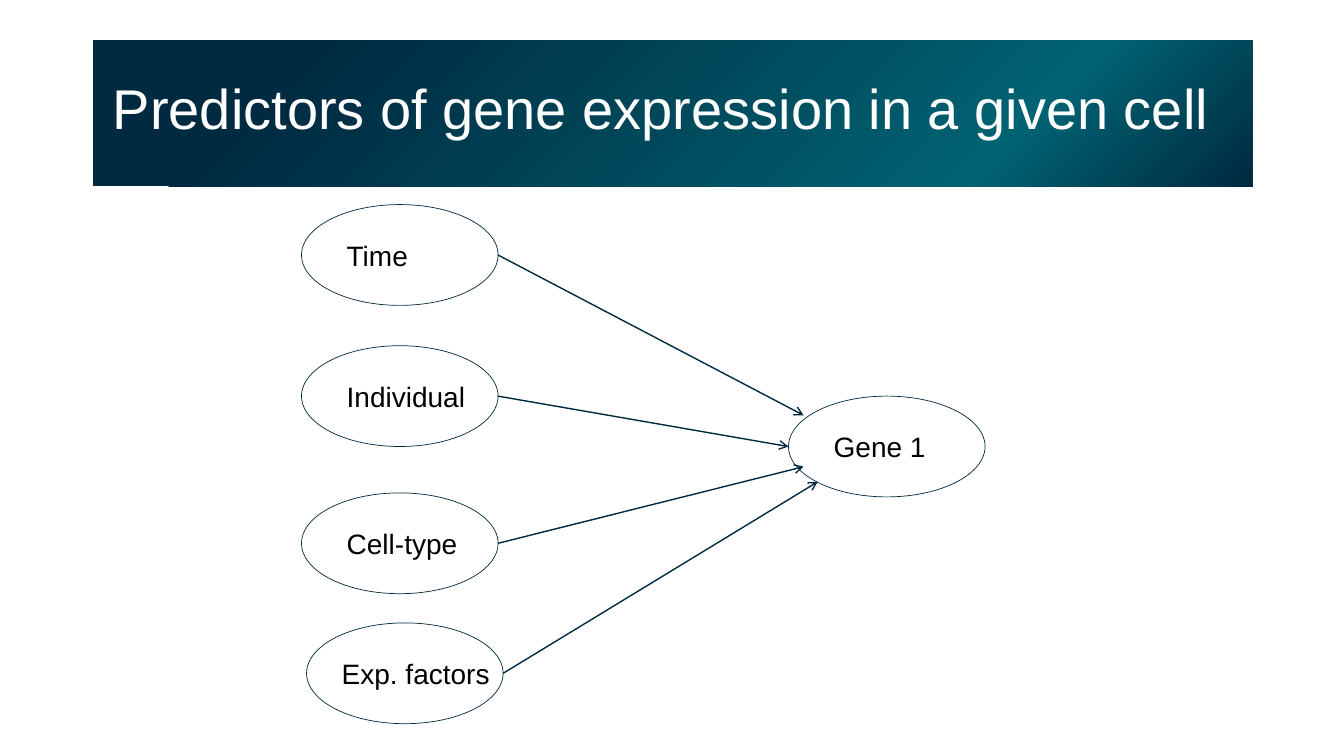
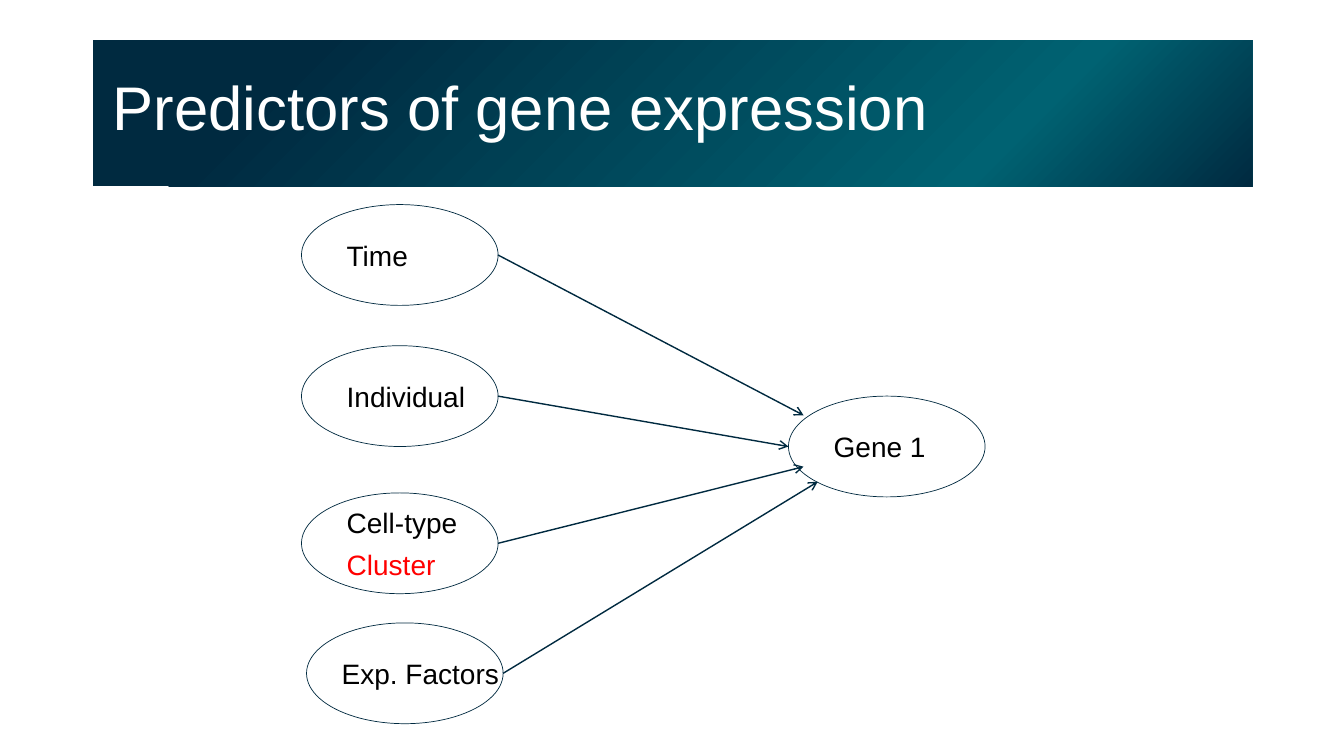
from dataclasses import dataclass

from lxml import etree
from pptx import Presentation
from pptx.dml.color import RGBColor
from pptx.enum.shapes import MSO_CONNECTOR as CONN, MSO_SHAPE as SHAPE
from pptx.enum.text import MSO_ANCHOR as ANCHOR, MSO_AUTO_SIZE as AUTOSIZE, PP_ALIGN as ALIGN
from pptx.oxml import parse_xml
from pptx.oxml.ns import nsdecls, qn
from pptx.util import Inches, Pt


@dataclass(frozen=True)
class Theme:
    font: str = "Arial"
    navy: str = "002A40"
    teal: str = "006272"
    white: str = "FFFFFF"
    black: str = "000000"
    red: str = "FF0000"
    label_size: int = 20
    outline: float = 0.5
    arrow: float = 1


@dataclass(frozen=True)
class Line:
    text: str
    color: str


@dataclass(frozen=True)
class Node:
    left: float
    top: float
    lines: tuple[Line, ...]
    indent: float = 0.35


@dataclass(frozen=True)
class Page:
    title: str
    title_size: int
    cell_type: tuple[Line, ...]
    factors: str


THEME = Theme()
NODE_W, NODE_H = 1.95, 1.0
LABEL_W = 1.8
GRADIENT = ((0, THEME.navy), (22, THEME.teal), (83, THEME.navy), (100, THEME.navy))
TARGETS = ((7.97, 4.12), (7.82, 4.43), (7.97, 4.63), (8.11, 4.78))

CELL_TYPE = Line("Cell-type", THEME.black)
PAGES = (
    Page("Predictors of gene expression in a given cell", 40, (CELL_TYPE,), "Exp. factors"),
    Page("Predictors of gene expression", 44,
         (CELL_TYPE, Line("Cluster", THEME.red)), "Exp. Factors"),
)


def write(p, text: str, *, size: float, color: str, after: float = 0,
          spacing: float = 1.0) -> None:
    p.alignment = ALIGN.LEFT
    p.space_before, p.space_after = Pt(0), Pt(after)
    p.line_spacing = spacing
    r = p.add_run()
    r.text = text
    r.font.name = THEME.font
    r.font.size = Pt(size)
    r.font.color.rgb = RGBColor.from_string(color)


def add_title(slide, page: Page) -> None:
    sp = slide.shapes.title
    sp.left, sp.top = Inches(0.92), Inches(0.4)
    sp.width, sp.height = Inches(11.5), Inches(1.45)
    stops = "".join(f'<a:gs pos="{pos * 1000}"><a:srgbClr val="{color}"/></a:gs>'
                    for pos, color in GRADIENT)
    sp._element.spPr.append(parse_xml(
        f'<a:gradFill {nsdecls("a")} rotWithShape="1"><a:gsLst>{stops}</a:gsLst>'
        '<a:path path="circle"><a:fillToRect l="100000" t="100000"/></a:path>'
        '<a:tileRect r="-100000" b="-100000"/></a:gradFill>'))
    tf = sp.text_frame
    tf.auto_size = AUTOSIZE.NONE
    tf.word_wrap = True
    tf.vertical_anchor = ANCHOR.MIDDLE
    tf.margin_left, tf.margin_right = Inches(0.2), Inches(0.1)
    tf.margin_top, tf.margin_bottom = Inches(0), Inches(0.05)
    write(tf.paragraphs[0], page.title, size=page.title_size,
          color=THEME.white, spacing=0.9)


def add_node(slide, node: Node) -> None:
    group = slide.shapes.add_group_shape()
    sp = group.shapes.add_shape(SHAPE.OVAL, Inches(node.left), Inches(node.top),
                                Inches(NODE_W), Inches(NODE_H))
    sp.shadow.inherit = False
    sp.fill.background()
    sp.line.color.rgb = RGBColor.from_string(THEME.navy)
    sp.line.width = Pt(THEME.outline)
    label = group.shapes.add_textbox(Inches(node.left + node.indent), Inches(node.top),
                                     Inches(LABEL_W), Inches(NODE_H))
    tf = label.text_frame
    tf.word_wrap = True
    tf.vertical_anchor = ANCHOR.MIDDLE
    for i, line in enumerate(node.lines):
        p = tf.add_paragraph() if i else tf.paragraphs[0]
        write(p, line.text, size=THEME.label_size, color=line.color, after=6)


def add_arrow(slide, node: Node, target: tuple[float, float]) -> None:
    x, y = target
    cxn = slide.shapes.add_connector(
        CONN.STRAIGHT, Inches(node.left + NODE_W), Inches(node.top + NODE_H / 2),
        Inches(x), Inches(y))
    cxn.line.color.rgb = RGBColor.from_string(THEME.navy)
    cxn.line.width = Pt(THEME.arrow)
    etree.SubElement(cxn.line._get_or_add_ln(), qn("a:tailEnd"), type="arrow")
    etree.SubElement(cxn._element.spPr, qn("a:effectLst"))


def build_slide(prs, page: Page) -> None:
    slide = prs.slides.add_slide(prs.slide_layouts[5])
    add_title(slide, page)
    gene = Node(7.82, 3.93, (Line("Gene 1", THEME.black),))
    predictors = (
        Node(2.99, 2.03, (Line("Time", THEME.black),)),
        Node(2.99, 3.43, (Line("Individual", THEME.black),)),
        Node(2.99, 4.89, page.cell_type),
        Node(3.04, 6.18, (Line(page.factors, THEME.black),), indent=0.25),
    )
    for node in (gene, *predictors):
        add_node(slide, node)
    for node, target in zip(predictors, TARGETS):
        add_arrow(slide, node, target)


def main() -> None:
    prs = Presentation()
    prs.slide_width, prs.slide_height = Inches(13.33), Inches(7.5)
    for page in PAGES:
        build_slide(prs, page)
    prs.save("out.pptx")


if __name__ == "__main__":
    main()
